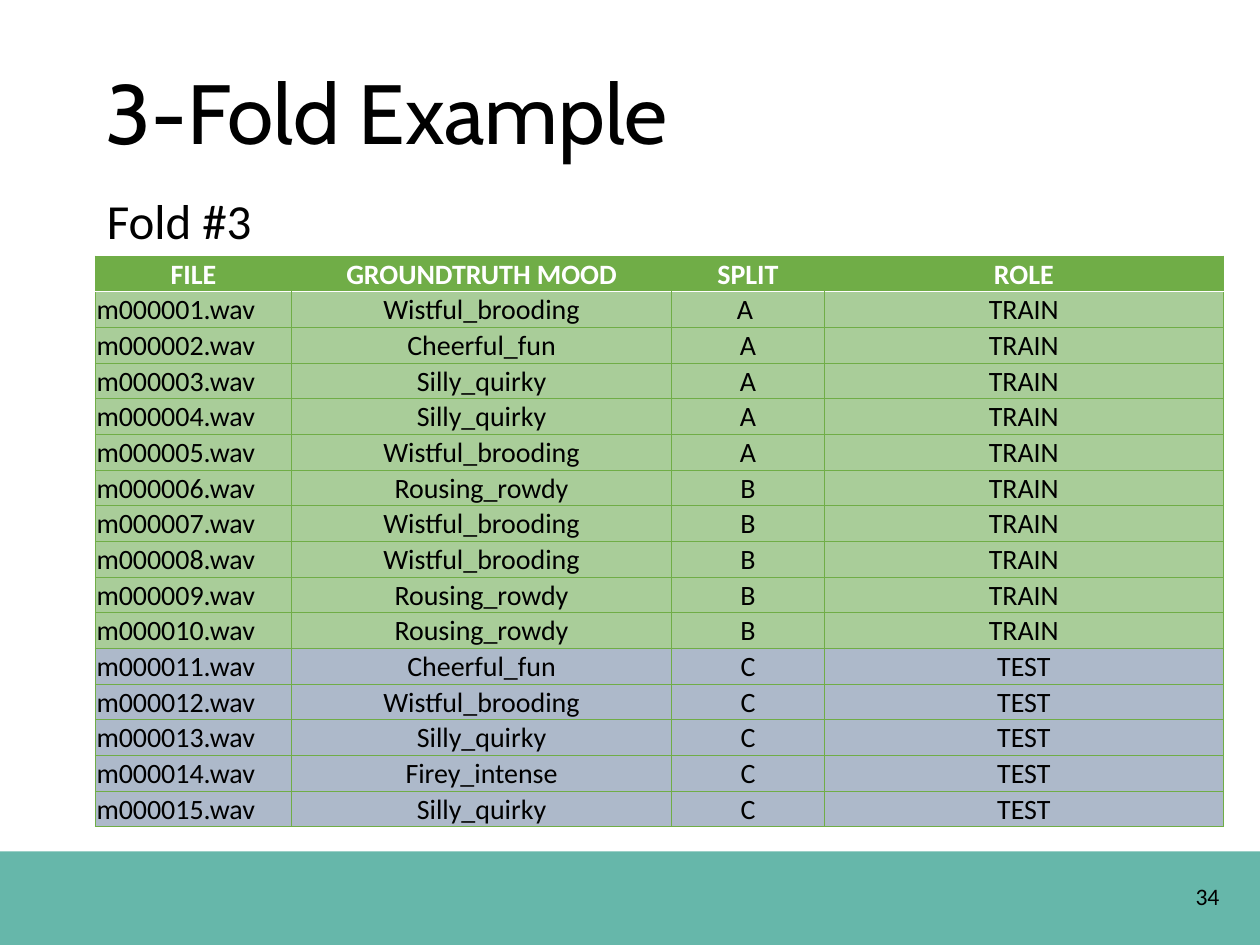
from dataclasses import dataclass

from lxml import etree
from pptx import Presentation
from pptx.dml.color import RGBColor
from pptx.enum.shapes import MSO_SHAPE
from pptx.enum.text import MSO_ANCHOR, PP_ALIGN
from pptx.oxml.ns import qn
from pptx.util import Pt

RECTANGLE = MSO_SHAPE.RECTANGLE
TOP, MIDDLE, BOTTOM = MSO_ANCHOR.TOP, MSO_ANCHOR.MIDDLE, MSO_ANCHOR.BOTTOM
LEFT, CENTER = PP_ALIGN.LEFT, PP_ALIGN.CENTER

COLORS = {
    "text": "000000",
    "white": "FFFFFF",
    "green": "70AD47",
    "train": "A9CD99",
    "test": "ADB9CA",
    "footer": "319F8D",
}
FOOTER_OPACITY = 74
HEADINGS = ("FILE", "GROUNDTRUTH MOOD", "SPLIT", "ROLE")
COLUMN_WIDTHS = (112.2, 217.2, 87.3, 228)
ROW_HEIGHT = 19.94
MOODS_BY_SPLIT = {
    "A": ("Wistful_brooding", "Cheerful_fun", "Silly_quirky", "Silly_quirky", "Wistful_brooding"),
    "B": ("Rousing_rowdy", "Wistful_brooding", "Wistful_brooding", "Rousing_rowdy", "Rousing_rowdy"),
    "C": ("Cheerful_fun", "Wistful_brooding", "Silly_quirky", "Firey_intense", "Silly_quirky"),
}
TEST_SPLIT = "C"


@dataclass
class Label:
    text: str
    left: float
    top: float
    width: float
    height: float
    size: float
    font: str = "Calibri"
    anchor: MSO_ANCHOR = TOP
    line_spacing: float = 1.0


@dataclass
class Border:
    color: str
    width: float


@dataclass
class Row:
    values: tuple
    fill: str
    text_color: str = "text"
    header: bool = False


LABELS = (
    Label("3-Fold Example", 53.3, 15.1, 620.6, 104.4, 48, "Cabin", MIDDLE, 0.9),
    Label("34", 676.1, 500.4, 43.9, 28.8, 13.5),
    Label("Fold #3", 54, 105.1, 156.2, 41, 28),
)
GRID = Border("green", 0.5)
HEADER_RULE = Border("white", 1)


def rgb(name: str) -> RGBColor:
    return RGBColor.from_string(COLORS[name])


def format_runs(paragraph, size: float, font: str, color: str, bold: bool = False) -> None:
    for run in paragraph.runs:
        run.font.size = Pt(size)
        run.font.name = font
        run.font.bold = bold
        run.font.color.rgb = rgb(color)


def add_footer(slide) -> None:
    footer = slide.shapes.add_shape(RECTANGLE, Pt(0), Pt(486.5), Pt(720), Pt(53.5))
    footer.shadow.inherit = False
    footer.fill.solid()
    footer.fill.fore_color.rgb = rgb("footer")
    footer.line.fill.background()
    fill_color = footer._element.spPr.find(qn("a:solidFill"))[0]
    etree.SubElement(fill_color, qn("a:alpha"), val=str(FOOTER_OPACITY * 1000))


def add_label(slide, label: Label) -> None:
    box = slide.shapes.add_textbox(
        Pt(label.left), Pt(label.top), Pt(label.width), Pt(label.height)
    )
    frame = box.text_frame
    frame.word_wrap = True
    frame.vertical_anchor = label.anchor
    frame.text = label.text
    paragraph = frame.paragraphs[0]
    paragraph.line_spacing = label.line_spacing
    format_runs(paragraph, label.size, label.font, "text")


def set_borders(cell, borders: dict) -> None:
    properties = cell._tc.get_or_add_tcPr()
    for position, side in enumerate("LRTB"):
        border = borders.get(side)
        line = etree.Element(qn(f"a:ln{side}"))
        if border is None:
            etree.SubElement(line, qn("a:noFill"))
        else:
            line.set("w", str(Pt(border.width)))
            fill = etree.SubElement(line, qn("a:solidFill"))
            etree.SubElement(fill, qn("a:srgbClr"), val=COLORS[border.color])
        properties.insert(position, line)


def format_cell(cell, text: str, row: Row, alignment: PP_ALIGN, borders: dict) -> None:
    cell.margin_left = cell.margin_right = cell.margin_top = Pt(0.8)
    cell.margin_bottom = Pt(0)
    cell.vertical_anchor = BOTTOM
    cell.fill.solid()
    cell.fill.fore_color.rgb = rgb(row.fill)
    cell.text_frame.text = text
    paragraph = cell.text_frame.paragraphs[0]
    paragraph.alignment = alignment
    format_runs(paragraph, 16, "Calibri", row.text_color, row.header)
    set_borders(cell, borders)


def fold_rows() -> list[Row]:
    rows = [Row(HEADINGS, "green", "white", True)]
    for split, moods in MOODS_BY_SPLIT.items():
        role = "test" if split == TEST_SPLIT else "train"
        for mood in moods:
            number = len(rows)
            split_text = "A " if number == 1 else split
            rows.append(Row((f"m{number:06}.wav", mood, split_text, role.upper()), role))
    return rows


def add_fold_table(slide, rows: list[Row]) -> None:
    table = slide.shapes.add_table(
        len(rows), len(HEADINGS), Pt(54.4), Pt(146.3),
        Pt(sum(COLUMN_WIDTHS)), Pt(ROW_HEIGHT * len(rows)),
    ).table
    for column, width in zip(table.columns, COLUMN_WIDTHS):
        column.width = Pt(width)
    last_column = len(HEADINGS) - 1
    for row_index, row in enumerate(rows):
        table.rows[row_index].height = Pt(ROW_HEIGHT)
        for column_index, text in enumerate(row.values):
            borders = dict.fromkeys("LRTB", GRID)
            if row.header:
                borders["B"] = HEADER_RULE
                borders["L"] = GRID if column_index == 0 else None
                borders["R"] = GRID if column_index == last_column else None
            elif row_index == 1:
                borders["T"] = HEADER_RULE
            alignment = LEFT if column_index == 0 and not row.header else CENTER
            format_cell(table.cell(row_index, column_index), text, row, alignment, borders)


def main() -> None:
    presentation = Presentation()
    presentation.slide_width, presentation.slide_height = Pt(720), Pt(540)
    slide = presentation.slides.add_slide(presentation.slide_layouts[6])
    add_footer(slide)
    add_fold_table(slide, fold_rows())
    for label in LABELS:
        add_label(slide, label)
    presentation.save("out.pptx")


if __name__ == "__main__":
    main()
